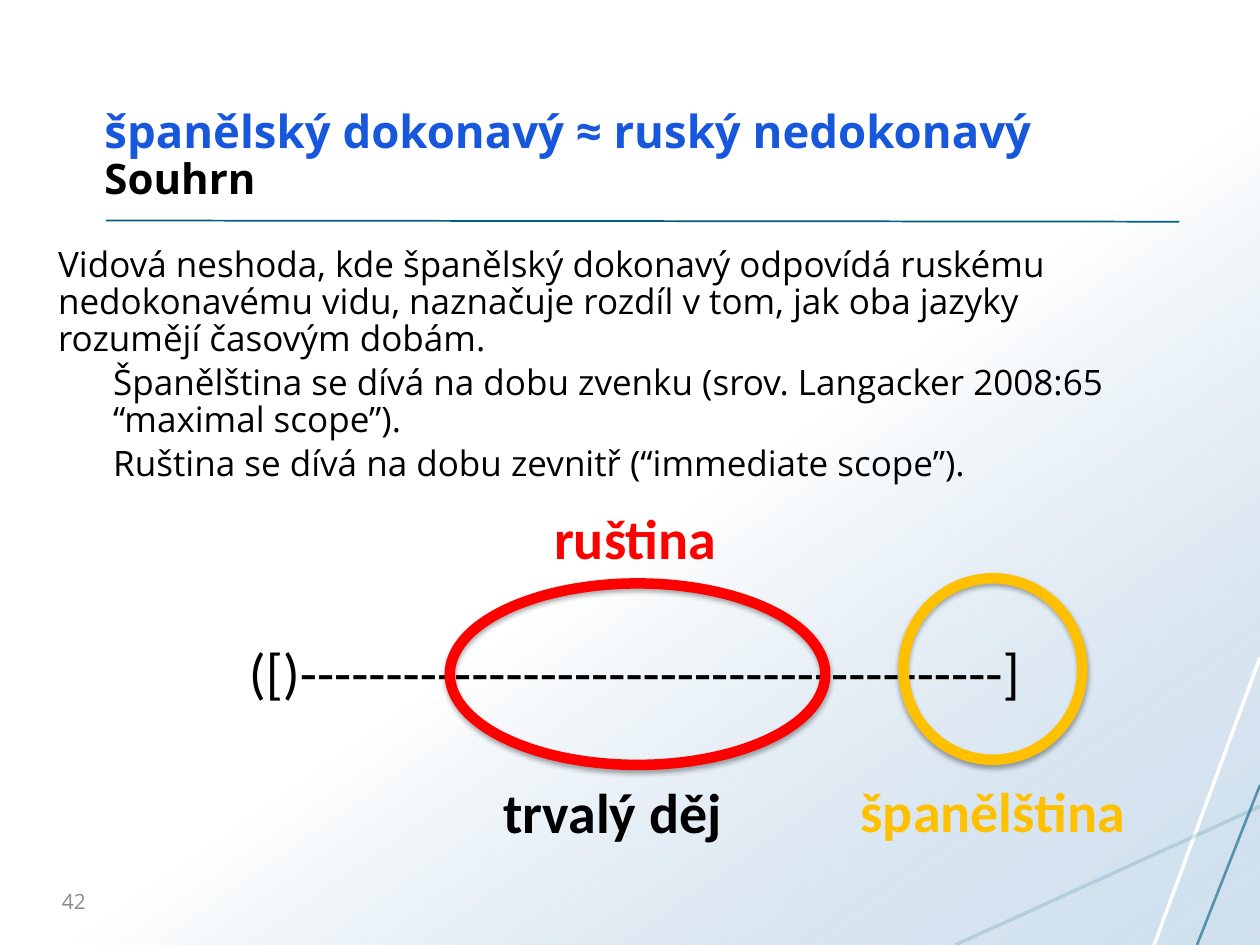
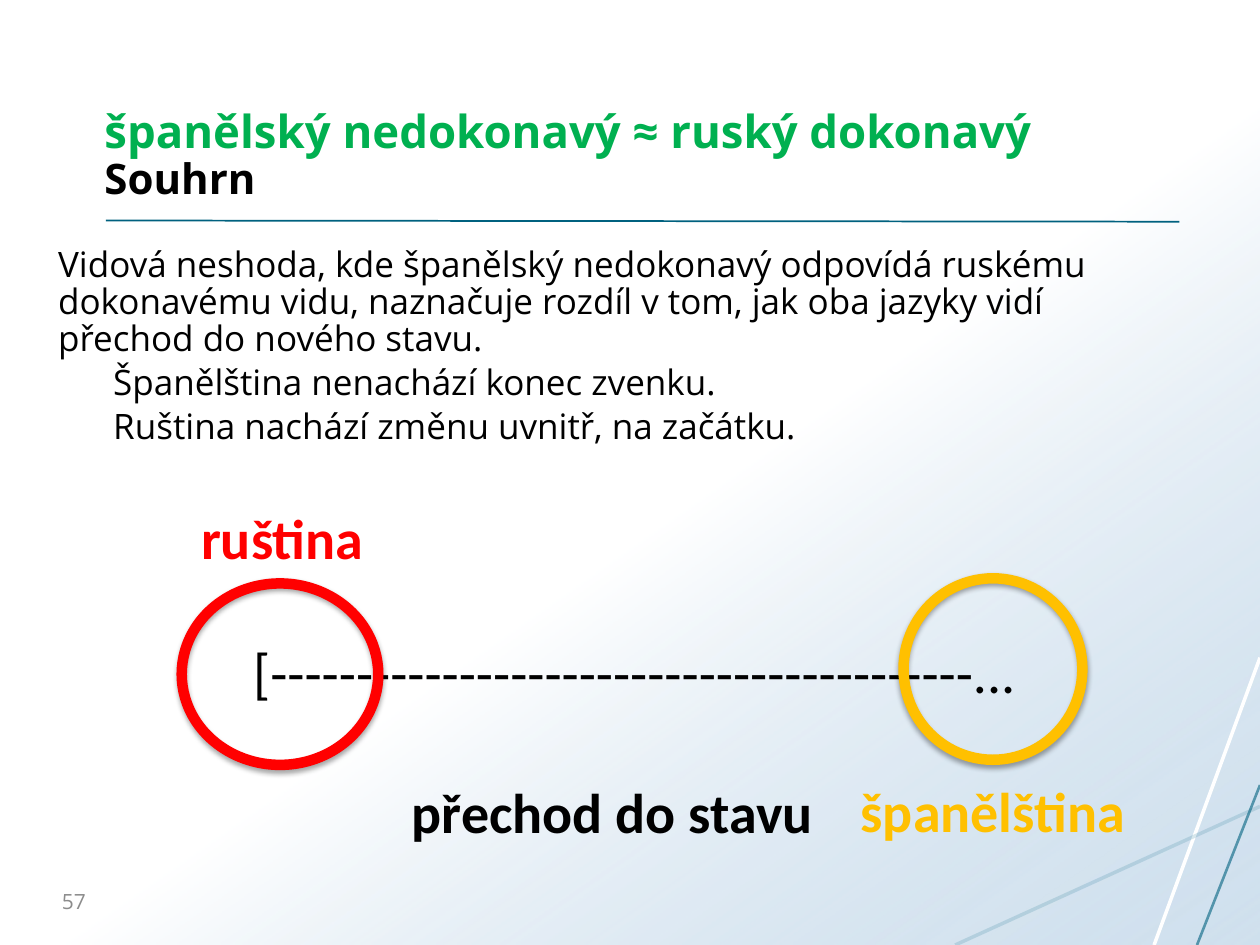
from pptx import Presentation
from pptx.dml.color import RGBColor
from pptx.enum.shapes import MSO_CONNECTOR, MSO_SHAPE
from pptx.enum.text import MSO_ANCHOR, MSO_AUTO_SIZE, PP_ALIGN
from pptx.oxml import parse_xml
from pptx.oxml.ns import nsdecls, qn
from pptx.util import Pt
from lxml.etree import SubElement

WHITE = RGBColor(0xFF, 0xFF, 0xFF)
BLACK = RGBColor(0, 0, 0)
GREY = RGBColor(0x8C, 0x8C, 0x8C)
PALE_BLUE = RGBColor(0xA9, 0xC7, 0xE0)
TEAL = RGBColor(0x00, 0x61, 0x7F)
LIGHT_TEAL = RGBColor(0x15, 0x71, 0x8F)
BLUE = RGBColor(0x17, 0x57, 0xDB)
GREEN = RGBColor(0x00, 0xB0, 0x50)
RED = RGBColor(0xFF, 0, 0)
GOLD = RGBColor(0xFF, 0xC0, 0)

TEXT_FONT, DIAGRAM_FONT = "Open Sans", "Calibri"
SLIDE_SIZE = (720, 540)

SUMMARIES = [
    {
        "number": "42",
        "title": "španělský dokonavý ≈ ruský nedokonavý",
        "title_color": BLUE,
        "thesis": "Vidová neshoda, kde španělský dokonavý odpovídá ruskému nedokonavému "
                  "vidu, naznačuje rozdíl v tom, jak oba jazyky rozumějí časovým dobám.",
        "points": ["Španělština se dívá na dobu zvenku (srov. Langacker 2008:65 “maximal scope”).",
                   "Ruština se dívá na dobu zevnitř (“immediate scope”)."],
        "timeline": "([)" + "-" * 41 + "]",
        "event": ("trvalý děj", 140),
        "russian_ellipse": (364.3, 214.5),
        "russian_label": (363, 108),
    },
    {
        "number": "57",
        "title": "španělský nedokonavý ≈ ruský dokonavý",
        "title_color": GREEN,
        "thesis": "Vidová neshoda, kde španělský nedokonavý odpovídá ruskému dokonavému "
                  "vidu, naznačuje rozdíl v tom, jak oba jazyky vidí přechod do nového stavu.",
        "points": ["Španělština nenachází konec zvenku.",
                   "Ruština nachází změnu uvnitř, na začátku."],
        "timeline": "[" + "-" * 41 + "...",
        "event": ("přechod do stavu", 244),
        "russian_ellipse": (160, 112.3),
        "russian_label": (161.3, 119.5),
    },
]

# Start, end, colour, width, opacity in percent
DECOR_LINES = [
    ((720, 375.8), (659.5, 540), WHITE, 2, 100),
    ((720, 460.8), (545.8, 540), LIGHT_TEAL, 2, 16),
    ((720, 448.6), (684, 540), TEAL, 1.5, 60),
    ((60.5, 126), (674, 126.7), TEAL, 1, 100),
]


def points(*lengths):
    return [Pt(length) for length in lengths]


def set_opacity(color_parent, percent):
    for color in color_parent.iter(qn("a:srgbClr")):
        SubElement(color, qn("a:alpha")).set("val", str(percent * 1000))


def style_run(span, font, size, color, bold=False):
    span.font.name = font
    span.font.size = Pt(size)
    span.font.color.rgb = color
    span.font.bold = bold


def place(shape, left, top, width, height):
    shape.left, shape.top, shape.width, shape.height = points(left, top, width, height)


def add_backdrop(slide, layout):
    """Draw the gradient and lines, then hand them to the layout."""
    panel = slide.shapes.add_shape(MSO_SHAPE.RECTANGLE, *points(0, 0, *SLIDE_SIZE))
    panel.shadow.inherit = False
    panel.line.fill.background()
    panel.fill.gradient()
    panel.fill.gradient_angle = 305
    start, end = panel.fill.gradient_stops
    start.position, start.color.rgb = 0.54, WHITE
    end.position, end.color.rgb = 1, PALE_BLUE
    set_opacity(list(panel.element.iter(qn("a:gs")))[-1], 54)
    decor = [panel]
    for begin, finish, color, width, opacity in DECOR_LINES:
        line = slide.shapes.add_connector(MSO_CONNECTOR.STRAIGHT, *points(*begin, *finish))
        line.line.color.rgb = color
        line.line.width = Pt(width)
        properties = line.element.spPr
        if opacity < 100:
            set_opacity(properties, opacity)
        SubElement(properties, qn("a:effectLst"))
        decor.append(line)
    for index, shape in enumerate(decor):
        layout.shapes.element.insert(2 + index, shape.element)


def fill_title(title, text, color):
    place(title, 52.5, 24, 620.5, 96)
    frame = title.text_frame
    frame.text = text + "\vSouhrn"
    frame.auto_size = MSO_AUTO_SIZE.NONE
    frame.vertical_anchor = MSO_ANCHOR.BOTTOM
    para = frame.paragraphs[0]
    para.alignment = PP_ALIGN.LEFT
    para.line_spacing = 0.9
    heading, subheading = para.runs
    style_run(heading, TEXT_FONT, 26, color, bold=True)
    style_run(subheading, TEXT_FONT, 24, BLACK, bold=True)
    for line_break in title.element.iter(qn("a:br")):
        SubElement(line_break, qn("a:rPr")).set("sz", "2600")


def fill_body(body, thesis, details):
    place(body, 26, 138, 647.5, 159)
    frame = body.text_frame
    frame.text = "\n".join([thesis, *details])
    frame.auto_size = MSO_AUTO_SIZE.NONE
    for index, para in enumerate(frame.paragraphs):
        para.level = min(index, 1)
        properties = para._p.get_or_add_pPr()
        properties.set("marL", str(Pt(31.5 * para.level)))
        properties.set("indent", "0")
        SubElement(properties, qn("a:buNone"))
        para.line_spacing = 0.88
        para.space_before = Pt(4 * para.level)
        style_run(para.runs[0], TEXT_FONT, 20, BLACK)


def add_text(slide, text, box_area, font, size, color, bold=False,
             align=PP_ALIGN.CENTER, wrap=False):
    box = slide.shapes.add_textbox(*points(*box_area))
    frame = box.text_frame
    frame.text = text
    frame.word_wrap = wrap
    para = frame.paragraphs[0]
    para.alignment = align
    style_run(para.runs[0], font, size, color, bold)
    return box


def add_label(slide, text, center, top, width, color):
    add_text(slide, text, (center - width / 2, top, width, 46),
             DIAGRAM_FONT, 32, color, bold=True)


def add_scope_ellipse(slide, center, top, width, color):
    ellipse = slide.shapes.add_shape(
        MSO_SHAPE.OVAL, *points(center - width / 2, top, width, 103.7))
    ellipse.fill.background()
    ellipse.line.color.rgb = color
    ellipse.line.width = Pt(6)
    ellipse.element.spPr.append(parse_xml(
        f'<a:effectLst {nsdecls("a")}>'
        f'<a:outerShdw blurRad="{Pt(3.1)}" dist="{Pt(1.8)}" dir="5400000" rotWithShape="0">'
        '<a:srgbClr val="000000"><a:alpha val="35000"/></a:srgbClr>'
        '</a:outerShdw></a:effectLst>'))


def add_diagram(slide, summary):
    add_text(slide, summary["timeline"], (131, 360.7, 463.7, 46),
             DIAGRAM_FONT, 32, BLACK, wrap=True)
    event, event_width = summary["event"]
    add_label(slide, event, 350, 440.6, event_width, BLACK)
    add_scope_ellipse(slide, 567.4, 330.5, 102.2, GOLD)
    russian_center, russian_width = summary["russian_ellipse"]
    add_scope_ellipse(slide, russian_center, 333.4, russian_width, RED)
    add_label(slide, "španělština", 567.4, 440, 167, GOLD)
    label_center, label_width = summary["russian_label"]
    add_label(slide, "ruština", label_center, 284, label_width, RED)


def main():
    deck = Presentation()
    deck.slide_width, deck.slide_height = points(*SLIDE_SIZE)
    layout = deck.slide_layouts[1]
    for index, summary in enumerate(SUMMARIES):
        slide = deck.slides.add_slide(layout)
        if index == 0:
            add_backdrop(slide, layout)
        fill_title(slide.shapes.title, summary["title"], summary["title_color"])
        fill_body(slide.placeholders[1], summary["thesis"], summary["points"])
        number = add_text(slide, summary["number"], (26, 500.4, 30.2, 28.8),
                          TEXT_FONT, 12, GREY, align=PP_ALIGN.RIGHT, wrap=True)
        number.text_frame.vertical_anchor = MSO_ANCHOR.MIDDLE
        add_diagram(slide, summary)
    deck.save("out.pptx")


if __name__ == "__main__":
    main()
